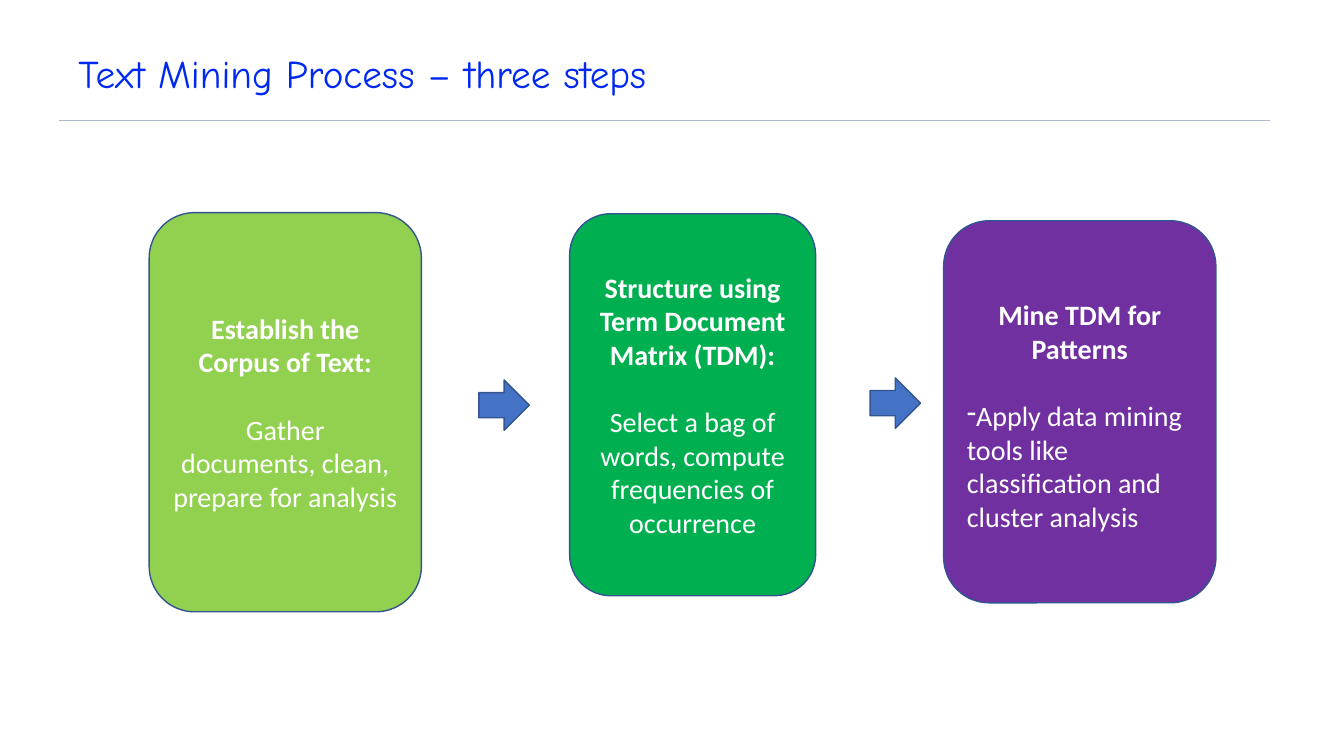
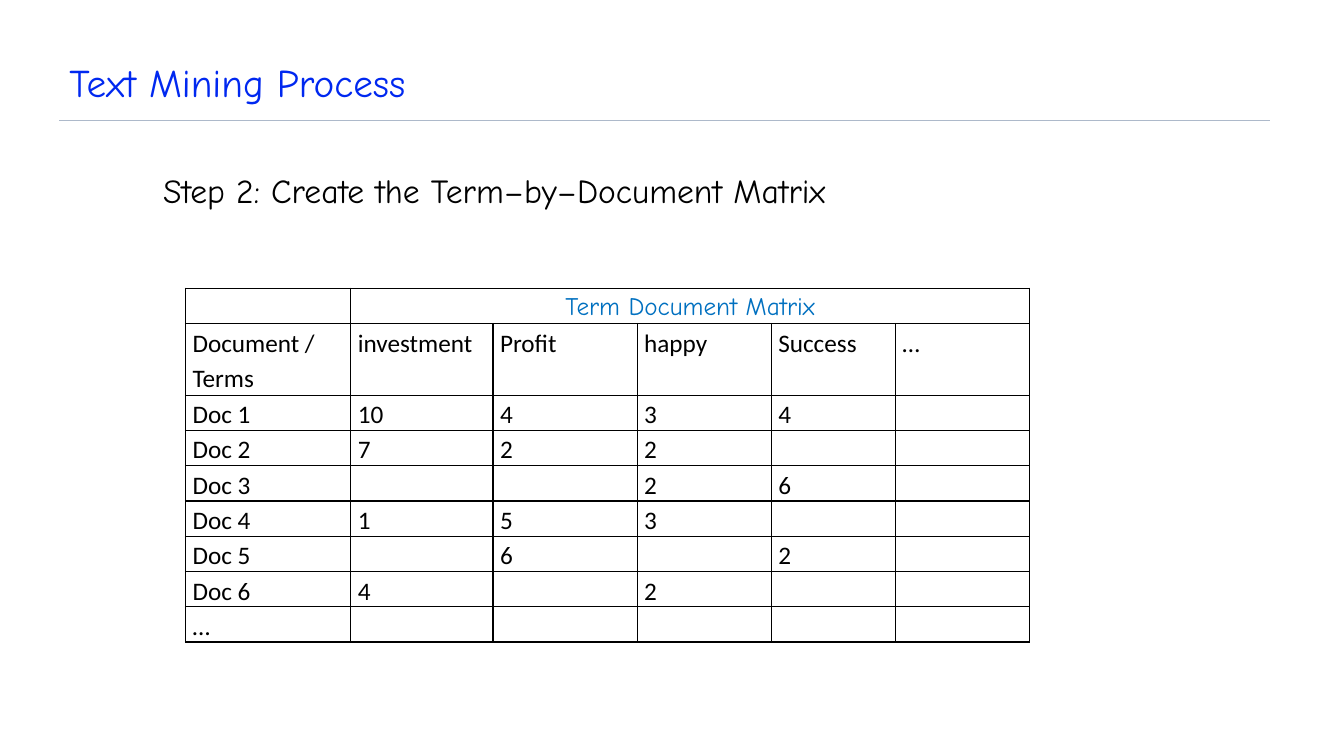
from lxml import etree
from pptx import Presentation
from pptx import util as u
from pptx.dml.color import RGBColor
from pptx.enum import shapes, text
from pptx.oxml import ns

PX = 9144
COLORS = {
    "title": "0028F0", "rule": "ADB9CA", "outline": "325491",
    "arrow": "4472C4", "corpus": "92D050", "structure": "00B050",
    "mine": "7030A0", "heading": "0070C0", "white": "FFFFFF", "black": "000000",
}
HAND, BODY = "Comic Neue", "Calibri"
CENTER, LEFT = text.PP_ALIGN.CENTER, text.PP_ALIGN.LEFT

COLUMNS = [164, 141, 143, 133, 123, 133]
ROW_HEIGHTS = [35, 71] + [35] * 7
TERM_ROWS = [
    ["Document / Terms", "investment", "Profit", "happy", "Success", "…"],
    ["Doc 1", "10", "4", "3", "4", ""],
    ["Doc 2", "7", "2", "2", "", ""],
    ["Doc 3", "", "", "2", "6", ""],
    ["Doc 4", "1", "5", "3", "", ""],
    ["Doc 5", "", "6", "", "2", ""],
    ["Doc 6", "4", "", "2", "", ""],
    ["…", "", "", "", "", ""],
]


def px(*values):
    return [u.Emu(v * PX) for v in values]


def rgb(name):
    return RGBColor.from_string(COLORS[name])


def add_run(p, words, size, color, font=BODY, bold=False):
    r = p.add_run()
    r.text = words
    r.font.size = u.Pt(size)
    r.font.name = font
    r.font.bold = bold
    r.font.color.rgb = rgb(color)


def add_text(s, box, words, size, color, wrap=True, anchor=text.MSO_ANCHOR.TOP):
    tf = s.shapes.add_textbox(*px(*box)).text_frame
    tf.word_wrap = wrap
    tf.vertical_anchor = anchor
    p = tf.paragraphs[0]
    add_run(p, words, size, color, HAND)
    return p


def add_titled_slide(prs, title, box):
    s = prs.slides.add_slide(prs.slide_layouts[6])
    rule = s.shapes.add_connector(shapes.MSO_CONNECTOR.STRAIGHT, *px(59, 120, 1260, 120))
    rule.line.color.rgb = rgb("rule")
    rule.line.width = u.Pt(0.75)
    etree.SubElement(rule._element.spPr, ns.qn("a:effectLst"))
    p = add_text(s, box, title, 28, "title", anchor=text.MSO_ANCHOR.BOTTOM)
    p.line_spacing = 0.9
    return s


def add_shape(s, kind, box, fill):
    sp = s.shapes.add_shape(kind, *px(*box))
    sp.shadow.inherit = False
    sp.fill.solid()
    sp.fill.fore_color.rgb = rgb(fill)
    sp.line.color.rgb = rgb("outline")
    sp.line.width = u.Pt(1)
    return sp


def add_dash_bullet(p):
    pPr = p._p.get_or_add_pPr()
    pPr.set("marL", "0")
    pPr.set("indent", "0")
    etree.SubElement(pPr, ns.qn("a:buChar"), char="-")


def add_step(s, box, fill, heading, body_lines, bulleted=False, top=5):
    sp = add_shape(s, shapes.MSO_SHAPE.ROUNDED_RECTANGLE, box, fill)
    tf = sp.text_frame
    tf.word_wrap = True
    tf.vertical_anchor = text.MSO_ANCHOR.MIDDLE
    tf.margin_top = px(top)[0]
    p = tf.paragraphs[0]
    p.alignment = CENTER
    add_run(p, heading, 20, "white", bold=True)
    p = tf.add_paragraph()
    p.alignment = LEFT if bulleted else CENTER
    p.space_before = u.Pt(24)
    if bulleted:
        add_dash_bullet(p)
    for i, line in enumerate(body_lines):
        if i:
            p.add_line_break()
        add_run(p, line, 20, "white")


def add_borders(cell):
    tcPr = cell._tc.get_or_add_tcPr()
    for side in ("lnL", "lnR", "lnT", "lnB"):
        ln = etree.SubElement(tcPr, ns.qn("a:" + side), w=str(u.Pt(1)))
        fill = etree.SubElement(ln, ns.qn("a:solidFill"))
        etree.SubElement(fill, ns.qn("a:srgbClr"), val=COLORS["black"])


def style_cell(cell):
    add_borders(cell)
    cell.fill.background()
    cell.margin_left, cell.margin_right = px(7, 7)
    cell.margin_top = cell.margin_bottom = 0


def write_cell(cell, words, color="black", font=BODY, align=LEFT):
    p = cell.text_frame.paragraphs[0]
    p.alignment = align
    p.line_spacing = 1.15
    add_run(p, words, 18, color, font)


def add_term_table(s, left, top):
    frame = s.shapes.add_table(
        len(ROW_HEIGHTS), len(COLUMNS),
        *px(left, top, sum(COLUMNS), sum(ROW_HEIGHTS)))
    table = frame.table
    table.first_row = table.horz_banding = False
    for column, width in zip(table.columns, COLUMNS):
        column.width = px(width)[0]
    for row, height in zip(table.rows, ROW_HEIGHTS):
        row.height = px(height)[0]
    for cell in table.iter_cells():
        style_cell(cell)
    table.cell(0, 1).merge(table.cell(0, len(COLUMNS) - 1))
    write_cell(table.cell(0, 1), "Term Document Matrix", "heading", HAND, CENTER)
    for i, row in enumerate(TERM_ROWS, 1):
        for j, words in enumerate(row):
            if words:
                write_cell(table.cell(i, j), words)


def add_steps_slide(prs):
    s = add_titled_slide(prs, "Text Mining Process – three steps", (68, 31, 752, 70))
    add_step(s, (148, 211, 270, 396), "corpus", "Establish the Corpus of Text:",
             ["Gather", "documents, clean, prepare for analysis"])
    add_step(s, (565, 212, 244, 379), "structure",
             "Structure using Term Document Matrix (TDM):",
             ["Select a bag of words, compute frequencies of occurrence"])
    add_step(s, (936, 219, 270, 379), "mine", "Mine TDM for Patterns",
             ["Apply data mining tools like classification and cluster analysis"],
             bulleted=True, top=12)
    for left, top in ((475, 377), (863, 375)):
        add_shape(s, shapes.MSO_SHAPE.RIGHT_ARROW, (left, top, 50, 50), "arrow")


def add_matrix_slide(prs):
    s = add_titled_slide(prs, "Text Mining Process", (59, 40, 1116, 70))
    add_term_table(s, 184, 286)
    add_text(s, (152, 164, 750, 50), "Step 2: Create the Term–by–Document Matrix",
             24, "black", wrap=False)


def main():
    prs = Presentation()
    prs.slide_width, prs.slide_height = px(1333, 750)
    add_steps_slide(prs)
    add_matrix_slide(prs)
    prs.save("out.pptx")


if __name__ == "__main__":
    main()
